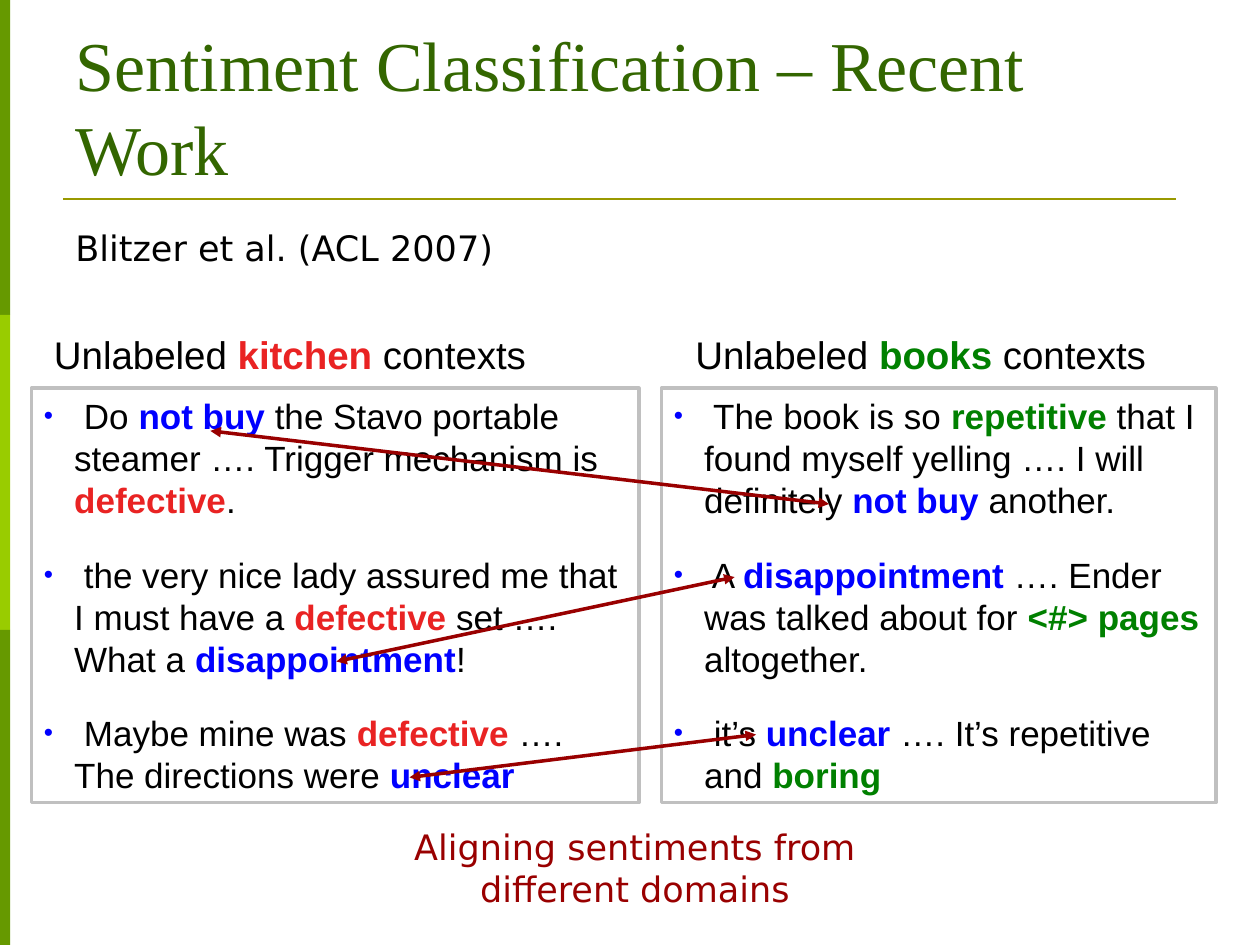
from lxml import etree
from pptx import Presentation
from pptx import util as u
from pptx.dml.color import RGBColor
from pptx.enum import shapes, text
from pptx.oxml import ns

BLACK = RGBColor(0x00, 0x00, 0x00)
BLUE = RGBColor(0x00, 0x00, 0xFF)
RED = RGBColor(0xE9, 0x23, 0x23)
GREEN = RGBColor(0x00, 0x80, 0x00)
MAROON = RGBColor(0x99, 0x00, 0x00)
TITLE_GREEN = RGBColor(0x33, 0x66, 0x00)
OLIVE = RGBColor(0x99, 0x99, 0x00)
LEAF = RGBColor(0x66, 0x99, 0x00)
LIME = RGBColor(0x99, 0xCC, 0x00)
GREY = RGBColor(0xC0, 0xC0, 0xC0)

KITCHEN = [
    [(" Do ", BLACK), ("not buy", BLUE), (" the Stavo portable steamer …. Trigger mechanism is ", BLACK),
     ("defective", RED), (".", BLACK)],
    [(" the very nice lady assured me that I must have a ", BLACK), ("defective ", RED),
     ("set …. What a ", BLACK), ("disappointment", BLUE), ("!", BLACK)],
    [(" Maybe mine was ", BLACK), ("defective", RED), (" …. The directions were ", BLACK), ("unclear", BLUE)],
]
BOOKS = [
    [(" The book is so ", BLACK), ("repetitive", GREEN), (" that I found myself yelling …. I will definitely ", BLACK),
     ("not buy ", BLUE), ("another.", BLACK)],
    [(" A ", BLACK), ("disappointment ", BLUE), ("…. Ender was talked about for ", BLACK),
     ("<#> pages", GREEN), (" altogether.", BLACK)],
    [(" it’s ", BLACK), ("unclear ", BLUE), ("…. It’s repetitive and ", BLACK), ("boring", GREEN)],
]


class SlideBuilder:
    """Draws styled elements on the current slide."""

    sans = "DejaVu Sans"
    serif = "Times New Roman"
    body = "Arial"
    highlights = (BLUE, RED, GREEN)

    def __init__(self, slide):
        self.slide = slide

    def rectangle(self, box, fill=None, outline=None):
        shape = self.slide.shapes.add_shape(shapes.MSO_SHAPE.RECTANGLE, *map(u.Inches, box))
        shape.shadow.inherit = False
        if fill is None:
            shape.fill.background()
        else:
            shape.fill.solid()
            shape.fill.fore_color.rgb = fill
        if outline is None:
            shape.line.fill.background()
        else:
            shape.line.color.rgb = outline
            shape.line.width = u.Pt(2)
        return shape

    def line(self, start, end, color, width, arrows=False):
        points = map(u.Inches, (*start, *end))
        connector = self.slide.shapes.add_connector(shapes.MSO_CONNECTOR.STRAIGHT, *points)
        connector.line.color.rgb = color
        connector.line.width = u.Pt(width)
        if arrows:
            outline = connector.line._get_or_add_ln()
            for tag in ("a:headEnd", "a:tailEnd"):
                etree.SubElement(outline, ns.qn(tag), type="triangle")
        etree.SubElement(connector._element.spPr, ns.qn("a:effectLst"))

    def add_runs(self, paragraph, runs, font, size):
        for words, color in runs:
            run = paragraph.add_run()
            run.text = words
            run.font.name = font
            run.font.size = u.Pt(size)
            run.font.color.rgb = color
            run.font.bold = color in self.highlights

    def label(self, box, runs, font, size, align=text.PP_ALIGN.LEFT, anchor=text.MSO_ANCHOR.TOP):
        frame = self.slide.shapes.add_textbox(*map(u.Inches, box)).text_frame
        frame.word_wrap = True
        frame.vertical_anchor = anchor
        frame.paragraphs[0].alignment = align
        self.add_runs(frame.paragraphs[0], runs, font, size)

    def bullet(self, paragraph):
        properties = paragraph._p.get_or_add_pPr()
        properties.set("marL", str(u.Inches(0.24)))
        properties.set("indent", str(-u.Inches(0.24)))
        color = etree.SubElement(properties, ns.qn("a:buClr"))
        etree.SubElement(color, ns.qn("a:srgbClr"), val=str(BLUE))
        etree.SubElement(properties, ns.qn("a:buSzPct"), val="75000")
        etree.SubElement(properties, ns.qn("a:buFont"), typeface=self.body)
        etree.SubElement(properties, ns.qn("a:buChar"), char="•")

    def bullet_panel(self, box, items):
        frame = self.rectangle(box, outline=GREY).text_frame
        frame.word_wrap = True
        frame.vertical_anchor = text.MSO_ANCHOR.TOP
        for index, runs in enumerate(items):
            paragraph = frame.add_paragraph() if index else frame.paragraphs[0]
            paragraph.alignment = text.PP_ALIGN.LEFT
            self.bullet(paragraph)
            if index:
                paragraph.space_before = u.Pt(18.7)
            self.add_runs(paragraph, runs, self.body, 20)


def main():
    presentation = Presentation()
    presentation.slide_width = u.Inches(10)
    presentation.slide_height = u.Inches(7.5)
    builder = SlideBuilder(presentation.slides.add_slide(presentation.slide_layouts[6]))

    for index, color in enumerate((LEAF, LIME, LEAF)):
        builder.rectangle((0, 2.5 * index, 0.08, 2.5), fill=color)
    builder.line((0.5, 1.58), (9.33, 1.58), OLIVE, 1.5)
    builder.label((0.5, 0.3, 9, 1.25), [("Sentiment Classification – Recent Work", TITLE_GREEN)],
                  builder.serif, 40, anchor=text.MSO_ANCHOR.BOTTOM)
    builder.label((0.5, 1.75, 9, 4.95), [("Blitzer et al. (ACL 2007)", BLACK)], builder.sans, 20)

    columns = (
        (0.25, 4.82, 0.33, 4.92, "kitchen", RED, KITCHEN),
        (5.25, 4.4, 5.42, 4.42, "books", GREEN, BOOKS),
    )
    for left, width, heading_left, heading_width, domain, color, items in columns:
        builder.bullet_panel((left, 3.08, width, 3.29), items)
        heading = [("Unlabeled ", BLACK), (domain, color), (" contexts", BLACK)]
        builder.label((heading_left, 2.58, heading_width, 0.47), heading, builder.body, 22)

    alignments = (
        ((1.67, 3.42), (6.58, 4)),
        ((2.67, 5.25), (5.83, 4.58)),
        ((3.25, 6.17), (6, 5.83)),
    )
    for start, end in alignments:
        builder.line(start, end, MAROON, 2, arrows=True)
    builder.label((2.75, 6.5, 4.58, 0.77), [("Aligning sentiments from different domains", MAROON)],
                  builder.sans, 20, align=text.PP_ALIGN.CENTER)

    presentation.save("out.pptx")


if __name__ == "__main__":
    main()
